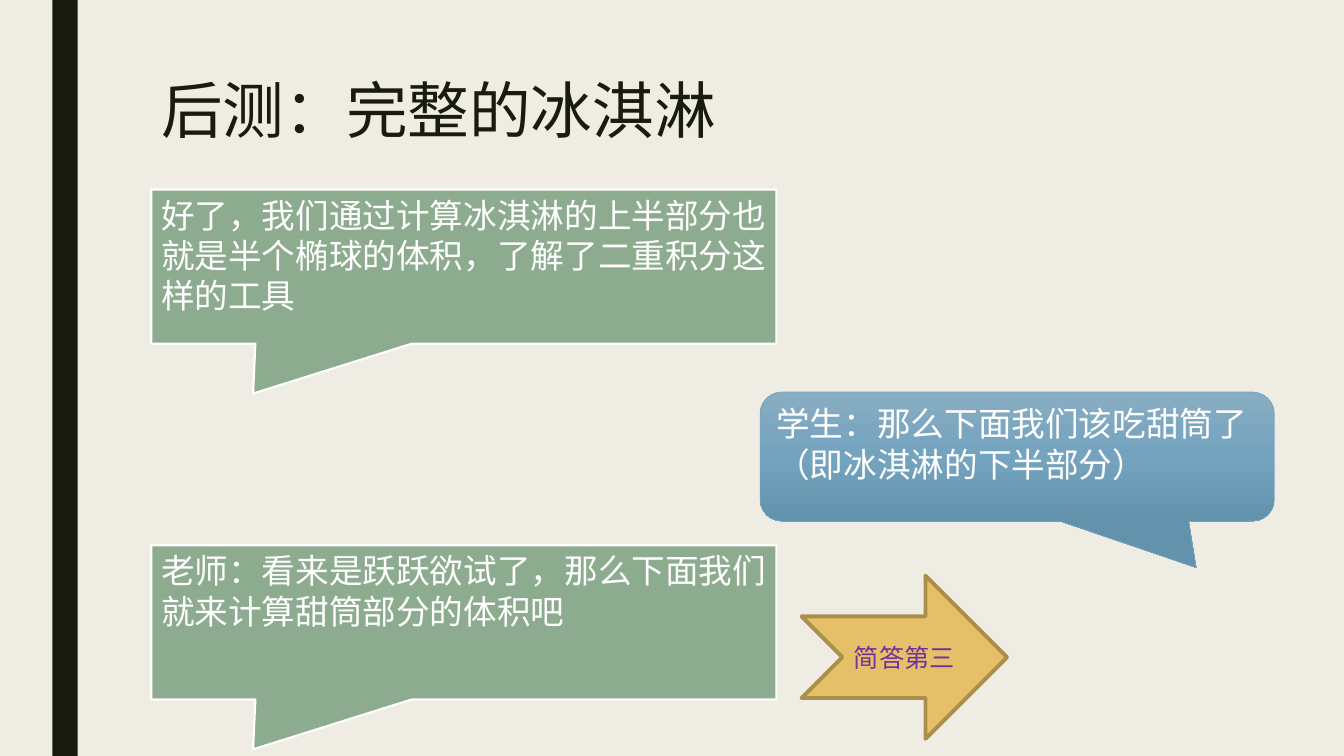
from copy import deepcopy
from dataclasses import dataclass
from pptx import Presentation
from pptx.dml.color import RGBColor
from pptx.enum.shapes import MSO_SHAPE
from pptx.enum.text import MSO_ANCHOR, PP_ALIGN
from pptx.util import Inches, Pt


@dataclass(frozen=True)
class Theme:
    paper: str = "EFEDE3"
    ink: str = "191B0E"
    white: str = "FFFFFF"
    green: str = "8DAB8E"
    gold: str = "E6C069"
    bronze: str = "AA8E4E"
    purple: str = "7030A0"
    blue: str = "77A2BB"
    blues: tuple = ("88ADC3", "74A3BE", "6392AD")
    font: str = "Roboto"
    label_font: str = "Noto Sans CJK SC"
    title: int = 44
    body: int = 24
    label: int = 18


class Page:
    def __init__(self, deck, theme):
        self.deck = deck
        self.theme = theme
        self.slide = deck.slides.add_slide(deck.slide_layouts[5])
        self.paint(self.slide.background.fill, theme.paper)

    def place(self, left, top, width, height):
        wide, high = self.deck.slide_width, self.deck.slide_height
        return [round(share * size / 100) for share, size in
                ((left, wide), (top, high), (width, wide), (height, high))]

    def paint(self, fill, color):
        fill.solid()
        fill.fore_color.rgb = RGBColor.from_string(color)

    def blend(self, shape, colors):
        fill = shape.fill
        fill.gradient()
        fill.gradient_angle = 270
        first = shape.element.xpath(".//a:gs")[0]
        first.addnext(deepcopy(first))
        for stop, color, spot in zip(fill.gradient_stops, colors, (0, 0.5, 1)):
            stop.color.rgb = RGBColor.from_string(color)
            stop.position = spot

    def letter(self, shape, text, size, color, font, align=PP_ALIGN.LEFT,
               anchor=MSO_ANCHOR.TOP):
        frame = shape.text_frame
        frame.text = text
        frame.word_wrap = True
        frame.vertical_anchor = anchor
        line = frame.paragraphs[0]
        line.alignment = align
        style = line.runs[0].font
        style.size = Pt(size)
        style.name = font
        style.color.rgb = RGBColor.from_string(color)
        return line

    def title(self, box, text):
        shape = self.slide.shapes.title
        shape.left, shape.top, shape.width, shape.height = self.place(*box)
        line = self.letter(shape, text, self.theme.title, self.theme.ink,
                           self.theme.font)
        line.line_spacing = 0.89

    def shape(self, kind, box, fill, edge=None, weight=0, adjust=()):
        shape = self.slide.shapes.add_shape(kind, *self.place(*box))
        shape.shadow.inherit = False
        for index, value in enumerate(adjust):
            shape.adjustments[index] = value
        if isinstance(fill, tuple):
            self.blend(shape, fill)
        else:
            self.paint(shape.fill, fill)
        if edge:
            self.paint(shape.line.fill, edge)
            shape.line.width = Pt(weight)
        else:
            shape.line.fill.background()
        return shape

    def speech(self, shape, text):
        self.letter(shape, text, self.theme.body, self.theme.white,
                    self.theme.font)

    def teacher(self, top, text):
        shape = self.shape(MSO_SHAPE.RECTANGULAR_CALLOUT,
                           (11.25, top, 46.52, 20.4), self.theme.green,
                           self.theme.white, 1.5, (-0.337, 0.823))
        self.speech(shape, text)

    def student(self, box, text):
        shape = self.shape(MSO_SHAPE.ROUNDED_RECTANGULAR_CALLOUT, box,
                           self.theme.blues, self.theme.blue, 0.5,
                           (0.348, 0.86, 0.167))
        self.speech(shape, text)

    def arrow(self, box, text):
        shape = self.shape(MSO_SHAPE.NOTCHED_RIGHT_ARROW, box,
                           self.theme.gold, self.theme.bronze, 2.75)
        self.letter(shape, text, self.theme.label, self.theme.purple,
                    self.theme.label_font, PP_ALIGN.CENTER, MSO_ANCHOR.MIDDLE)


def main():
    deck = Presentation()
    deck.slide_width, deck.slide_height = Inches(13.33), Inches(7.5)
    theme = Theme()
    page = Page(deck, theme)
    page.shape(MSO_SHAPE.RECTANGLE, (3.9, 0, 1.88, 100), theme.ink)
    page.title((11.25, 10, 78.77, 21.6), "后测：完整的冰淇淋")
    page.arrow((59.64, 76.13, 15.3, 21.6), "简答第三")
    page.teacher(72.13, "老师：看来是跃跃欲试了，那么下面我们就来计算甜筒部分的体积吧")
    page.teacher(25.07, "好了，我们通过计算冰淇淋的上半部分也就是半个椭球的体积，了解了二重积分这样的工具")
    page.student((56.56, 51.87, 38.26, 17.07),
                 "学生：那么下面我们该吃甜筒了（即冰淇淋的下半部分）")
    deck.save("out.pptx")


if __name__ == "__main__":
    main()
